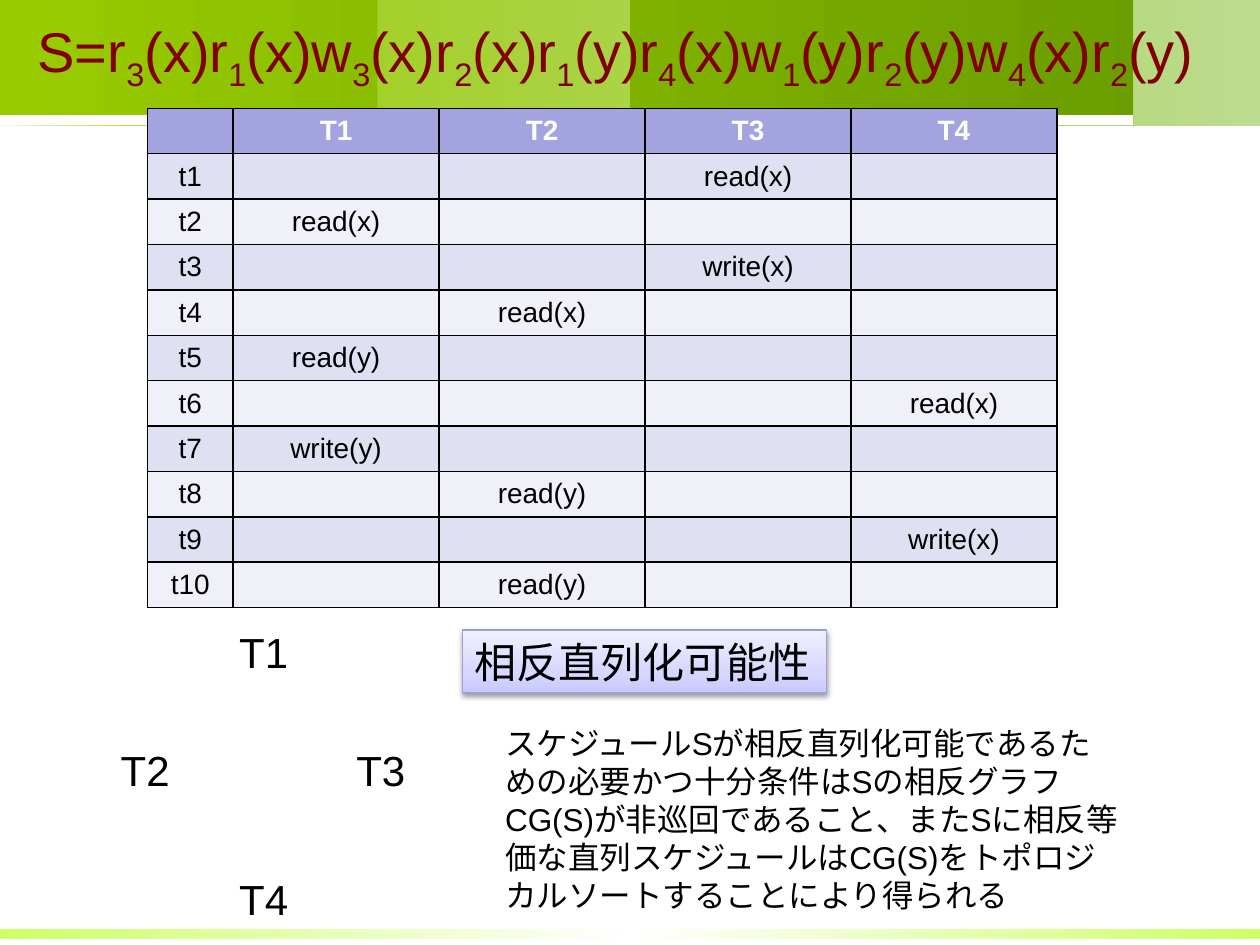
from lxml import etree
from pptx import Presentation
from pptx.dml.color import RGBColor
from pptx.enum.shapes import MSO_SHAPE
from pptx.enum.text import MSO_ANCHOR, PP_ALIGN
from pptx.oxml.ns import qn
from pptx.util import Inches, Pt

RECT = MSO_SHAPE.RECTANGLE
MIDDLE, TOP = MSO_ANCHOR.MIDDLE, MSO_ANCHOR.TOP
CENTER = PP_ALIGN.CENTER
FONT = "Arial"
COLORS = {
    "text": "000000", "title": "800000", "head_text": "FFFFFF",
    "head": "A3A3E0", "odd": "E0E0F3", "even": "F0F0F9",
    "box_line": "9E9EDD", "shadow": "000000",
}
FOOTER_STOPS = [(0, "CCFF66"), (50, "FFFFFF"), (100, "CCFF66")]
BANNER_STOPS = [(0, "99CC00"), (100, "669900")]
WAVE_STOPS = [(0, "99CC00"), (100, "BBDB8F")]
BOX_STOPS = [(0, "C9C9FF"), (35, "D8D8FF"), (100, "F0F0FF")]

# Content: the schedule as (operation, transaction, item)
SCHEDULE = [
    ("r", 3, "x"), ("r", 1, "x"), ("w", 3, "x"), ("r", 2, "x"), ("r", 1, "y"),
    ("r", 4, "x"), ("w", 1, "y"), ("r", 2, "y"), ("w", 4, "x"), ("r", 2, "y"),
]
VERBS = {"r": "read", "w": "write"}
TRANSACTIONS = ["T1", "T2", "T3", "T4"]
NODES = [("T1", 1.8, 4.92), ("T2", 0.86, 5.86), ("T3", 2.73, 5.86), ("T4", 1.8, 6.88)]
TERM = "相反直列化可能性"
THEOREM = ("スケジュールSが相反直列化可能であるための必要かつ十分条件はSの相反グラフCG(S)が"
           "非巡回であること、またSに相反等価な直列スケジュールはCG(S)を"
           "トポロジカルソートすることにより得られる")

# Wave outline in inches: start, then cubic curves (control, control, end)
WAVE_START = (0, 0.91)
WAVE_CURVES = [
    ((0.31, 0.82), (2.57, 0.47), (3.82, 0.45)),
    ((5.08, 0.42), (6.49, 0.77), (7.52, 0.76)),
    ((8.55, 0.76), (9.59, 0.38), (10, 0.41)),
    ((10, 0.73), (10, 0.68), (10, 0.92)),
]
STEPS = 16

prs = Presentation()
prs.slide_width, prs.slide_height = Inches(10), Inches(7.5)
s = prs.slides.add_slide(prs.slide_layouts[6])


def rgb(name):
    return RGBColor.from_string(COLORS[name])


def add_color(parent, value):
    return etree.SubElement(parent, qn("a:srgbClr"), val=value)


def fill_gradient(sp, stops, angle=0):
    sp.shadow.inherit = False
    sp.line.fill.background()
    sp.fill.gradient()
    sp.fill.gradient_angle = angle
    gs_list = sp.fill._fill._gradFill.find(qn("a:gsLst"))
    for gs in list(gs_list):
        gs_list.remove(gs)
    for pos, value in stops:
        add_color(etree.SubElement(gs_list, qn("a:gs"), pos=str(pos * 1000)), value)


def add_run(p, text, size, color="text", bold=False):
    r = p.add_run()
    r.text = text
    r.font.name, r.font.size, r.font.bold = FONT, Pt(size), bold
    r.font.color.rgb = rgb(color)
    return r


def add_rect(x, y, w, h, stops, angle=0):
    sp = s.shapes.add_shape(RECT, Inches(x), Inches(y), Inches(w), Inches(h))
    fill_gradient(sp, stops, angle)
    return sp


def add_text(x, y, w, h, text="", size=24, wrap=True, anchor=TOP):
    tf = s.shapes.add_textbox(Inches(x), Inches(y), Inches(w), Inches(h)).text_frame
    tf.word_wrap = wrap
    tf.vertical_anchor = anchor
    if text:
        add_run(tf.paragraphs[0], text, size)
    return tf


def curve_points(start, curves):
    for c1, c2, end in curves:
        for i in range(1, STEPS + 1):
            t = i / STEPS
            u = 1 - t
            yield tuple(u**3 * a + 3 * u * u * t * b + 3 * u * t * t * c + t**3 * d
                        for a, b, c, d in zip(start, c1, c2, end))
        start = end


# Background bands and wave
add_rect(0, 7.37, 10, 0.08, FOOTER_STOPS)
add_rect(0, 0, 10, 0.91, BANNER_STOPS)
builder = s.shapes.build_freeform(*WAVE_START, scale=Inches(1))
builder.add_line_segments(list(curve_points(WAVE_START, WAVE_CURVES)), close=True)
fill_gradient(builder.convert_to_shape(), WAVE_STOPS)

# Title with subscripts
p = add_text(0.2, 0.13, 9.61, 0.61, anchor=MIDDLE).paragraphs[0]
lead = "S="
for op, number, item in SCHEDULE:
    add_run(p, lead + op, 32, "title")
    sub = add_run(p, str(number), 32, "title")
    sub.font._element.set("baseline", "-25000")
    lead = f"({item})"
add_run(p, lead, 32, "title")

# Schedule table
rows = [[""] + TRANSACTIONS]
for i, (op, number, item) in enumerate(SCHEDULE, 1):
    row = [f"t{i}"] + [""] * len(TRANSACTIONS)
    row[number] = f"{VERBS[op]}({item})"
    rows.append(row)

TABLE_W, TABLE_H, FIRST_W = 7.22, 3.82, 0.68
table = s.shapes.add_table(len(rows), len(rows[0]), Inches(1.17), Inches(0.86),
                           Inches(TABLE_W), Inches(TABLE_H)).table
for j, col in enumerate(table.columns):
    col.width = Inches((TABLE_W - FIRST_W) / len(TRANSACTIONS) if j else FIRST_W)
for i, row in enumerate(rows):
    table.rows[i].height = Inches(TABLE_H / len(rows))
    fill = "head" if i == 0 else "odd" if i % 2 else "even"
    for j, text in enumerate(row):
        cell = table.cell(i, j)
        cell.margin_top = cell.margin_bottom = Inches(0.03)
        cell.vertical_anchor = MIDDLE
        tc_pr = cell._tc.get_or_add_tcPr()
        for side in ("lnL", "lnR", "lnT", "lnB"):
            ln = etree.SubElement(tc_pr, qn(f"a:{side}"), w=str(Pt(1)))
            add_color(etree.SubElement(ln, qn("a:solidFill")), COLORS["text"])
        cell.fill.solid()
        cell.fill.fore_color.rgb = rgb(fill)
        if text:
            p = cell.text_frame.paragraphs[0]
            p.alignment = CENTER
            add_run(p, text, 16, "text" if i else "head_text", bold=i == 0)

# Conflict graph nodes
for name, x, y in NODES:
    add_text(x, y, 0.63, 0.5, name, wrap=False)

# Term box with shadow
box = add_rect(3.67, 5, 2.89, 0.5, BOX_STOPS, 90)
box.line.color.rgb = rgb("box_line")
box.line.width = Pt(0.75)
effects = box._element.spPr.find(qn("a:effectLst"))
shadow = etree.SubElement(effects, qn("a:outerShdw"), blurRad=str(Pt(3.1)),
                          dist=str(Pt(1.6)), dir="5400000", rotWithShape="0")
etree.SubElement(add_color(shadow, COLORS["shadow"]), qn("a:alpha"), val="38000")
tf = box.text_frame
tf.word_wrap = False
tf.paragraphs[0].alignment = PP_ALIGN.LEFT
add_run(tf.paragraphs[0], TERM, 24)

# Theorem
add_text(3.91, 5.7, 5.08, 1.62, THEOREM, 18)

prs.save("out.pptx")
